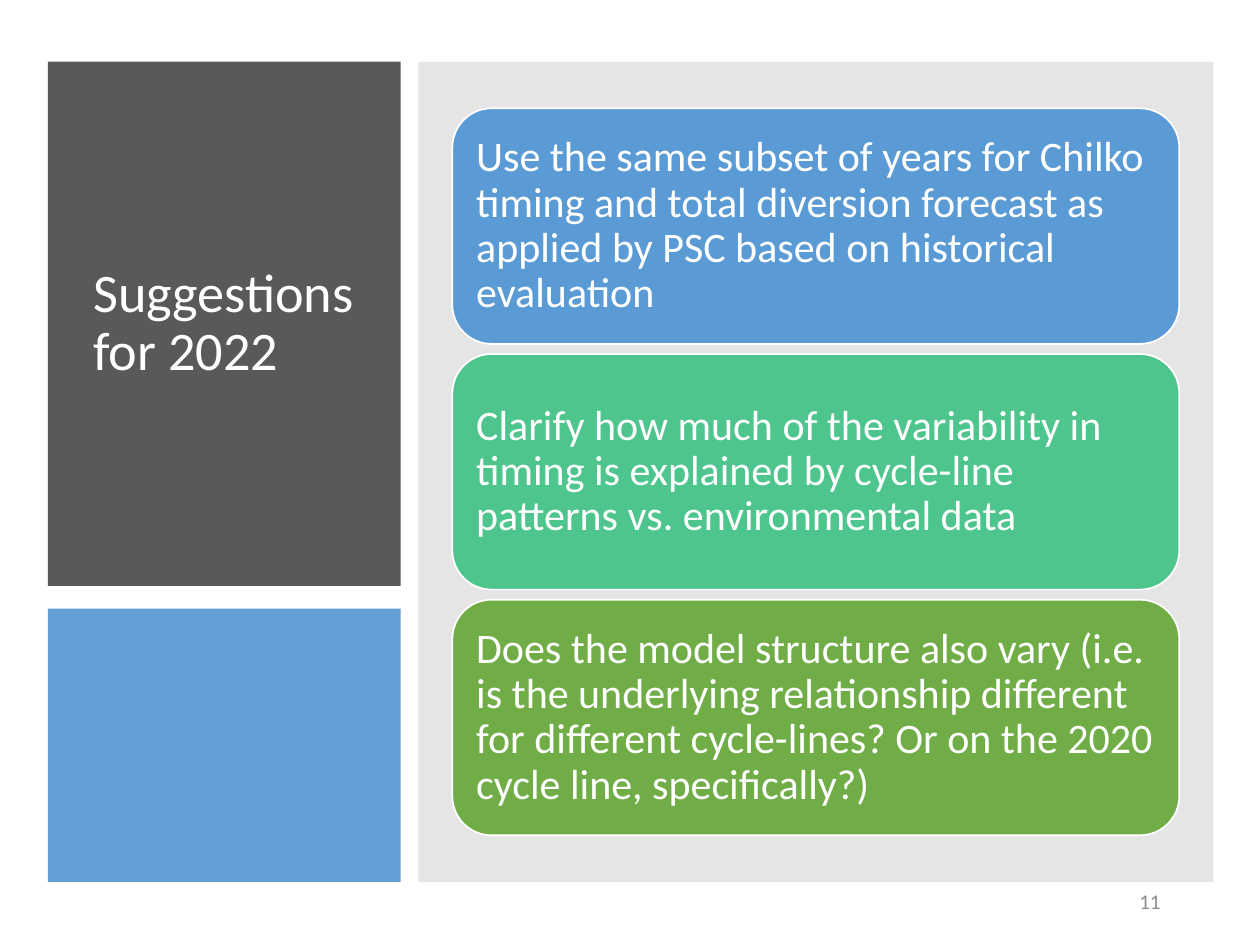
import pptx
import pptx.util
import pptx.dml.color
import pptx.enum.shapes
import pptx.enum.text
import pptx.oxml
import pptx.oxml.ns

Inches, Pt = pptx.util.Inches, pptx.util.Pt
Kind = pptx.enum.shapes.MSO_SHAPE
Align = pptx.enum.text.PP_ALIGN
Anchor = pptx.enum.text.MSO_ANCHOR

# Content
TITLE = "Suggestions for 2022"
NUMBER = "11"
# left, top, width, height, colour, opacity in percent
PANELS = [
    (0.38, 0.49, 2.8, 4.16, "595959", 100),
    (0.38, 4.83, 2.8, 2.17, "5B9BD5", 95),
    (3.32, 0.49, 6.31, 6.51, "808080", 20),
]
CARDS = [
    ("5B9BD5", "Use the same subset of years for Chilko timing and total "
     "diversion forecast as applied by PSC based on historical evaluation"),
    ("4DC58D", "Clarify how much of the variability in timing is explained "
     "by cycle-line patterns vs. environmental data"),
    ("70AD47", "Does the model structure also vary (i.e. is the underlying "
     "relationship different for different cycle-lines? Or on the 2020 "
     "cycle line, specifically?)"),
]
LEFT, TOP, WIDTH, HEIGHT, STEP = 3.59, 0.86, 5.77, 1.87, 1.95


def paint(form, color, alpha=100):
    form.solid()
    form.fore_color.rgb = pptx.dml.color.RGBColor.from_string(color)
    if alpha < 100:
        tint = form._xPr.find(".//" + pptx.oxml.ns.qn("a:srgbClr"))
        tint.append(pptx.oxml.parse_xml(
            f'<a:alpha {pptx.oxml.ns.nsdecls("a")} val="{alpha * 1000}"/>'))


def block(kind, box, color, alpha=100):
    shape = slide.shapes.add_shape(kind, *map(Inches, box))
    shape.shadow.inherit = False
    paint(shape.fill, color, alpha)
    shape.line.fill.background()
    return shape


def write(shape, text, size, color, align=Align.LEFT, space=0.9):
    frame = shape.text_frame
    frame.text = text
    frame.word_wrap = True
    frame.auto_size = pptx.enum.text.MSO_AUTO_SIZE.NONE
    frame.vertical_anchor = Anchor.MIDDLE
    para = frame.paragraphs[0]
    para.alignment = align
    para.line_spacing = space
    para.font.name = "Calibri"
    para.font.size = Pt(size)
    paint(para.font.fill, color)
    return frame


deck = pptx.Presentation()
deck.slide_width, deck.slide_height = Inches(10), Inches(7.5)
slide = deck.slides.add_slide(deck.slide_layouts[5])

# Background panels
for *box, color, alpha in PANELS:
    block(Kind.RECTANGLE, box, color, alpha)

# Title, raised above the panels
title = slide.shapes.title
title.left, title.top = Inches(0.64), Inches(0.8)
title.width, title.height = Inches(2.33), Inches(3.54)
write(title, TITLE, 31, "FFFFFF")
slide.shapes._spTree.append(title._element)

# Suggestion cards
for row, (color, text) in enumerate(CARDS):
    card = block(Kind.ROUNDED_RECTANGLE,
                 (LEFT, TOP + row * STEP, WIDTH, HEIGHT), color)
    paint(card.line.fill, "FFFFFF")
    card.line.width = Pt(1)
    frame = write(card, text, 24, "FFFFFF")
    frame.margin_left = frame.margin_right = Inches(0.1)
    frame.margin_top = frame.margin_bottom = Inches(0.1)

# Slide number
foot = slide.shapes.add_textbox(*map(Inches, (7.06, 6.95, 2.25, 0.4)))
write(foot, NUMBER, 12, "8C8C8C", Align.RIGHT, 1.0)

deck.save("out.pptx")
